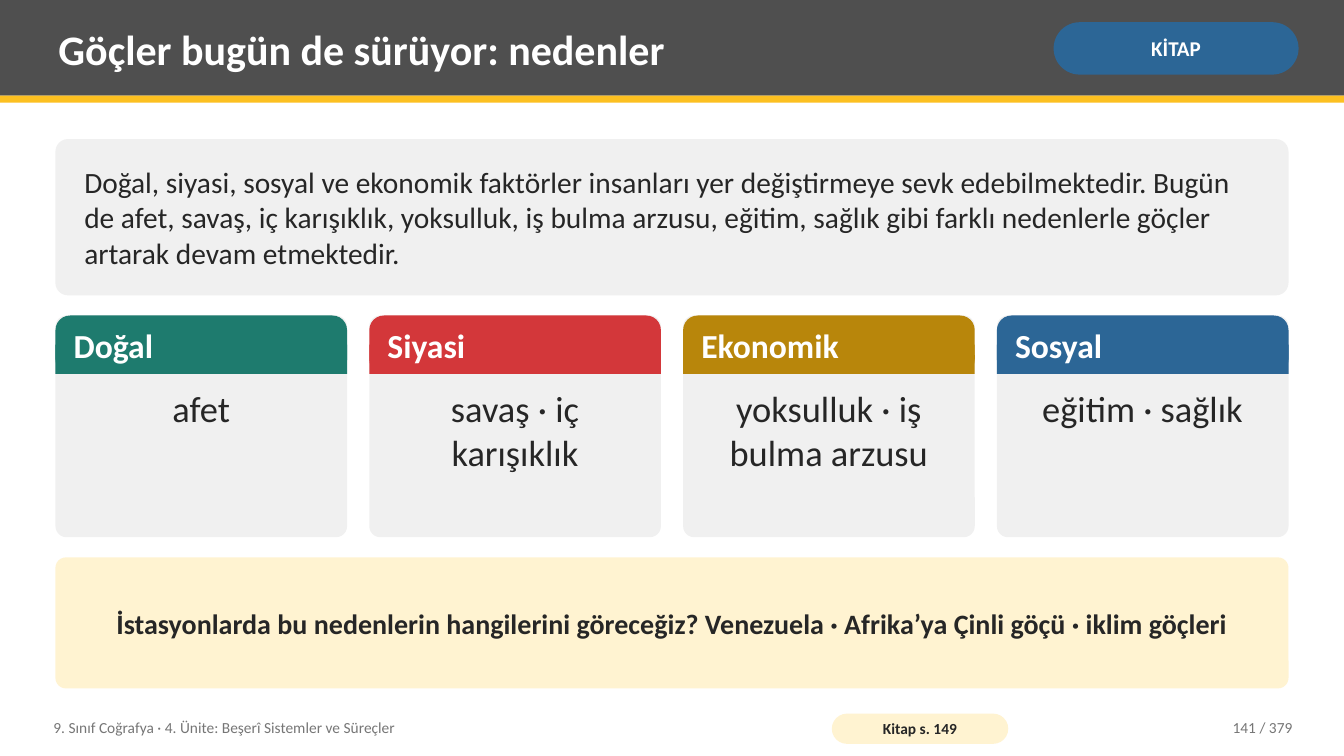
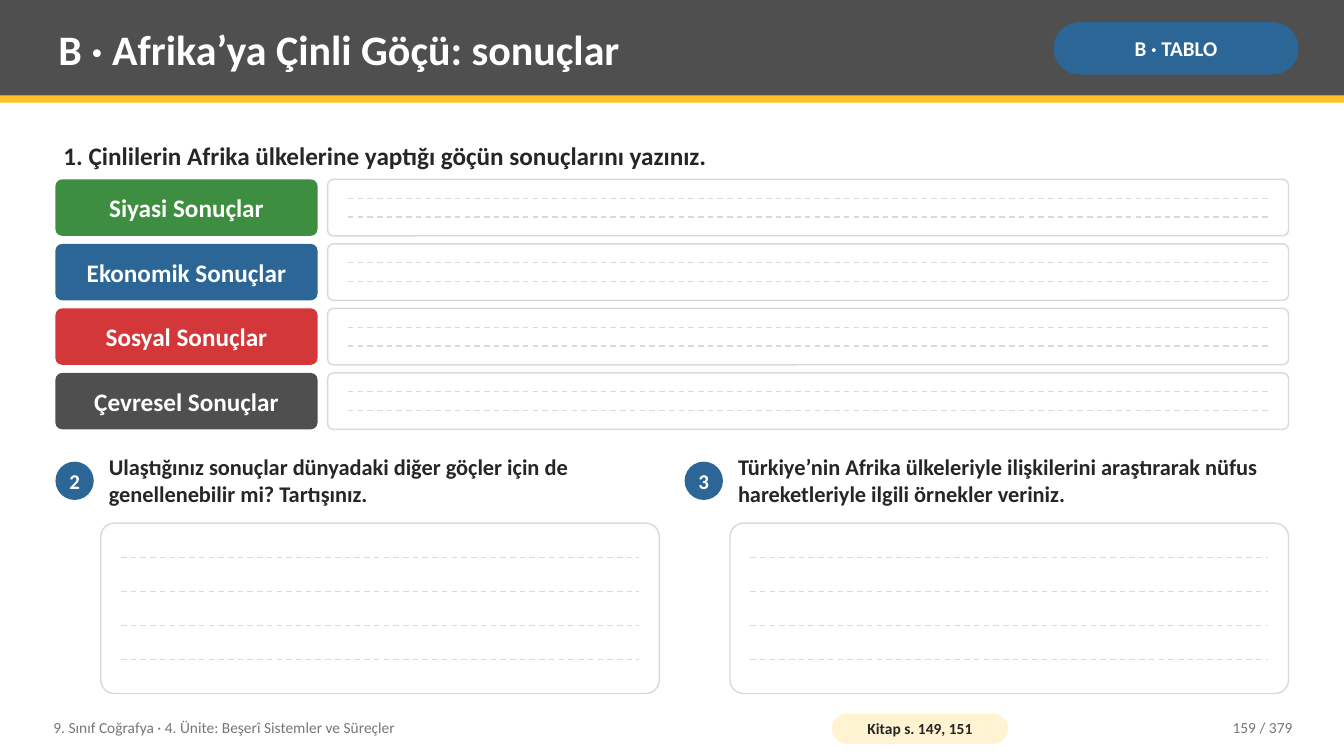
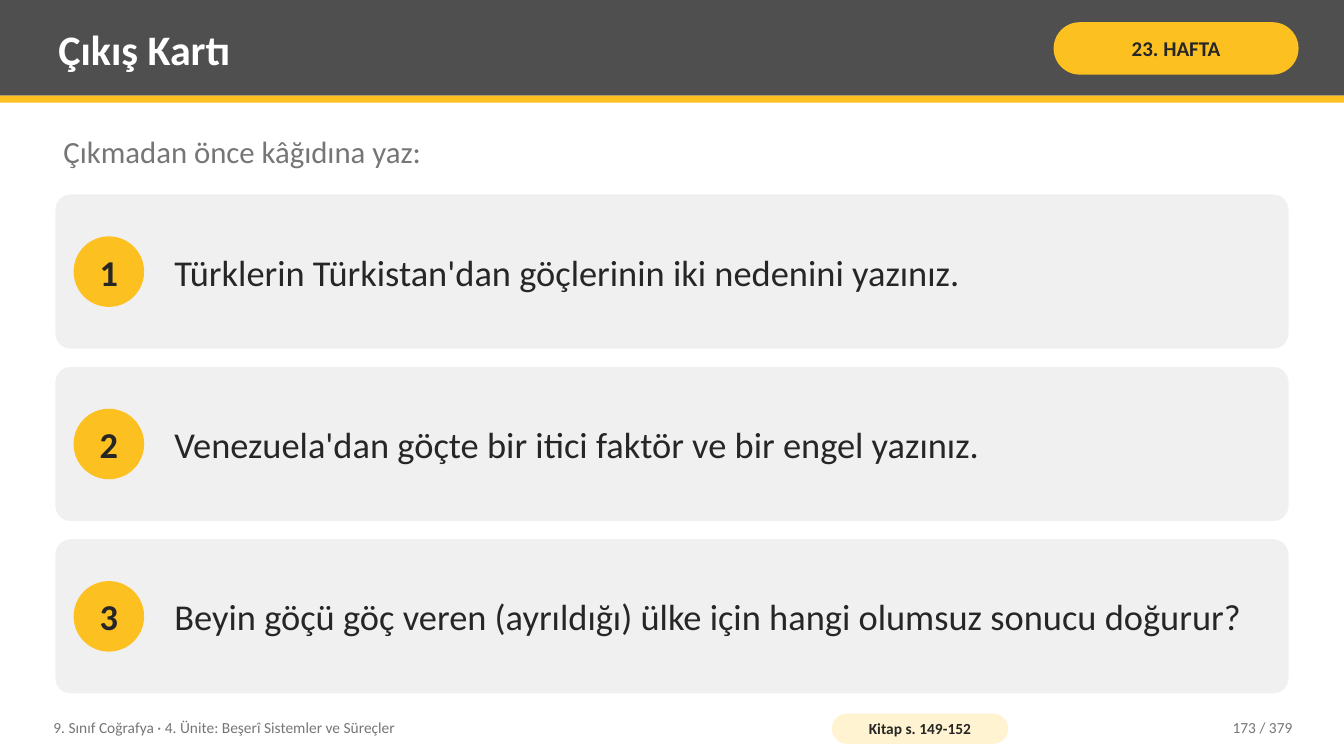
import lxml.etree
import pptx
import pptx.dml.color
import pptx.enum.dml
import pptx.enum.shapes
import pptx.enum.text
import pptx.oxml.ns
import pptx.util

SHAPE = pptx.enum.shapes.MSO_SHAPE
ALIGN = pptx.enum.text.PP_ALIGN
ANCHOR = pptx.enum.text.MSO_ANCHOR

FONT = "Calibri"
COLORS = {
    "dark": "4F4F4F", "yellow": "FCC021", "cream": "FFF3D1", "panel": "F0F0F0",
    "rule": "D9D9D9", "ink": "262626", "muted": "767676", "white": "FFFFFF",
    "blue": "2C6696", "red": "D3373A", "teal": "1E7B6E", "ochre": "B8860B",
    "green": "3E8E41",
}

# Page grid, in inches
PAGE_WIDTH, PAGE_HEIGHT = 13.33, 7.5
LEFT, WIDTH = 0.55, 12.23
BOTTOM = 6.88
UNIT = "9. Sınıf Coğrafya · 4. Ünite: Beşerî Sistemler ve Süreçler"
TOTAL_PAGES = 379


def split(start, length, count, gap):
    """Return the starts and the common size of equal cells."""
    size = (length - gap * (count - 1)) / count
    return [start + index * (size + gap) for index in range(count)], size


def inches(*lengths):
    return [pptx.util.Inches(length) for length in lengths]


def color(name):
    return pptx.dml.color.RGBColor.from_string(COLORS[name])


# Basic elements
def write(box, text, size, ink="ink", bold=False, align=ALIGN.LEFT,
          anchor=ANCHOR.MIDDLE, margins=(0.08, 0.04), wrap=True):
    frame = box.text_frame
    frame.text = text
    frame.word_wrap = wrap
    frame.auto_size = pptx.enum.text.MSO_AUTO_SIZE.NONE
    frame.vertical_anchor = anchor
    frame.margin_left = frame.margin_right = pptx.util.Inches(margins[0])
    frame.margin_top = frame.margin_bottom = pptx.util.Inches(margins[1])
    para = frame.paragraphs[0]
    para.alignment = align
    font = para.runs[0].font
    font.name, font.size, font.bold = FONT, pptx.util.Pt(size), bold
    font.color.rgb = color(ink)


def add_text(page, area, text, size, **style):
    write(page.shapes.add_textbox(*inches(*area)), text, size, **style)


def add_block(page, area, fill, kind=SHAPE.RECTANGLE, corner=None, outline=None):
    block = page.shapes.add_shape(kind, *inches(*area))
    block.shadow.inherit = False
    block.fill.solid()
    block.fill.fore_color.rgb = color(fill)
    if outline:
        block.line.color.rgb = color(outline)
        block.line.width = pptx.util.Pt(1)
    else:
        block.line.fill.background()
    if corner is not None:
        block.adjustments[0] = corner
    return block


def add_rounded(page, area, fill, corner, outline=None):
    return add_block(page, area, fill, SHAPE.ROUNDED_RECTANGLE, corner, outline)


def add_badge(page, left, top, side, number, size, fill, ink):
    badge = add_block(page, (left, top, side, side), fill, SHAPE.OVAL)
    write(badge, str(number), size, ink=ink, bold=True, align=ALIGN.CENTER,
          margins=(0, 0), wrap=False)


def add_dashed_line(page, left, right, y):
    line = page.shapes.add_connector(
        pptx.enum.shapes.MSO_CONNECTOR.STRAIGHT, *inches(left, y, right, y))
    line.line.color.rgb = color("rule")
    line.line.width = pptx.util.Pt(1)
    line.line.dash_style = pptx.enum.dml.MSO_LINE.DASH
    lxml.etree.SubElement(line._element.spPr, pptx.oxml.ns.qn("a:effectLst"))


def add_answer_box(page, area, corner, line_count):
    left, top, width, height = area
    add_rounded(page, area, "white", corner, outline="rule")
    for index in range(1, line_count + 1):
        add_dashed_line(page, left + 0.2, left + width - 0.2,
                        top + height * index / (line_count + 1))


def add_card(page, area, heading, text, fill):
    left, top, width, height = area
    head = 0.58
    add_rounded(page, area, "panel", 0.05)
    add_rounded(page, (left, top, width, head), fill, 0.25)
    add_block(page, (left, top + head / 2, width, head / 2), fill)
    add_text(page, (left + 0.1, top, width - 0.2, head), heading, 24,
             ink="white", bold=True)
    add_text(page, (left + 0.12, top + head + 0.08, width - 0.24, height - head - 0.16),
             text, 26, align=ALIGN.CENTER, anchor=ANCHOR.TOP)


# Shared frame: header, label and footer
def add_page(deck, title, label, source, number, label_fill="blue", label_ink="white"):
    page = deck.slides.add_slide(deck.slide_layouts.get_by_name("Title Only"))
    add_block(page, (0, 0, PAGE_WIDTH, 0.95), "dark")
    add_block(page, (0, 0.95, PAGE_WIDTH, 0.07), "yellow")

    heading = page.shapes.title
    heading.left, heading.top, heading.width, heading.height = inches(0.5, 0.07, 9.75, 0.82)
    write(heading, title, 30, ink="white", bold=True)
    page.shapes._spTree.append(heading._element)  # bring in front of the band

    pill = add_rounded(page, (10.45, 0.22, 2.43, 0.52), label_fill, 0.5)
    write(pill, label, 15, ink=label_ink, bold=True, align=ALIGN.CENTER,
          margins=(0.05, 0.02))

    add_text(page, (0.45, 7.04, 7.6, 0.36), UNIT, 11, ink="muted")
    tag = add_rounded(page, (8.25, 7.08, 1.75, 0.3), "cream", 0.5)
    write(tag, source, 11, bold=True, align=ALIGN.CENTER, margins=(0.04, 0))
    add_text(page, (11.3, 7.04, 1.6, 0.36), f"{number} / {TOTAL_PAGES}", 11,
             ink="muted", align=ALIGN.RIGHT)
    return page


# Slides
def build_causes(deck):
    page = add_page(deck, "Göçler bugün de sürüyor: nedenler", "KİTAP",
                    "Kitap s. 149", 141)
    intro = add_rounded(page, (LEFT, 1.38, WIDTH, 1.55), "panel", 0.08)
    write(intro, "Doğal, siyasi, sosyal ve ekonomik faktörler insanları yer değiştirmeye "
          "sevk edebilmektedir. Bugün de afet, savaş, iç karışıklık, yoksulluk, iş bulma "
          "arzusu, eğitim, sağlık gibi farklı nedenlerle göçler artarak devam etmektedir.",
          21, margins=(0.25, 0.08))

    causes = [
        ("Doğal", "afet", "teal"),
        ("Siyasi", "savaş · iç karışıklık", "red"),
        ("Ekonomik", "yoksulluk · iş bulma arzusu", "ochre"),
        ("Sosyal", "eğitim · sağlık", "blue"),
    ]
    columns, width = split(LEFT, WIDTH, len(causes), 0.22)
    for left, cause in zip(columns, causes):
        add_card(page, (left, 3.13, width, 2.2), *cause)

    question = add_rounded(page, (LEFT, 5.53, WIDTH, 1.3), "cream", 0.08)
    write(question, "İstasyonlarda bu nedenlerin hangilerini göreceğiz? "
          "Venezuela · Afrika’ya Çinli göçü · iklim göçleri",
          20, bold=True, align=ALIGN.CENTER, margins=(0.14, 0.08))


def build_results(deck):
    page = add_page(deck, "B · Afrika’ya Çinli Göçü: sonuçlar", "B · TABLO",
                    "Kitap s. 149, 151", 159)
    add_text(page, (LEFT, 1.33, WIDTH, 0.42),
             "1. Çinlilerin Afrika ülkelerine yaptığı göçün sonuçlarını yazınız.",
             18, bold=True)

    # Labelled answer rows
    results = [("Siyasi Sonuçlar", "green"), ("Ekonomik Sonuçlar", "blue"),
               ("Sosyal Sonuçlar", "red"), ("Çevresel Sonuçlar", "dark")]
    label_width, gap = 2.6, 0.1
    rows, height = split(1.78, 2.48, len(results), 0.08)
    for top, (text, fill) in zip(rows, results):
        label = add_rounded(page, (LEFT, top, label_width, height), fill, 0.12)
        write(label, text, 18, ink="white", bold=True, align=ALIGN.CENTER,
              margins=(0.1, 0.02))
        add_answer_box(page, (LEFT + label_width + gap, top,
                              WIDTH - label_width - gap, height), 0.1, 2)

    # Open questions
    questions = [
        "Ulaştığınız sonuçlar dünyadaki diğer göçler için de genellenebilir mi? Tartışınız.",
        "Türkiye’nin Afrika ülkeleriyle ilişkilerini araştırarak nüfus hareketleriyle "
        "ilgili örnekler veriniz.",
    ]
    indent, answer_top = 0.45, 5.19
    columns, width = split(LEFT, WIDTH, len(questions), 0.25)
    for number, (left, question) in enumerate(zip(columns, questions), start=2):
        add_badge(page, left, 4.58, 0.38, number, 15, "blue", "white")
        add_text(page, (left + indent, 4.42, width - indent, 0.69), question, 16, bold=True)
        add_answer_box(page, (left + indent, answer_top, width - indent,
                              BOTTOM - answer_top), 0.08, 4)


def build_exit_card(deck):
    page = add_page(deck, "Çıkış Kartı", "23. HAFTA", "Kitap s. 149-152", 173,
                    label_fill="yellow", label_ink="ink")
    add_text(page, (LEFT, 1.28, WIDTH, 0.55), "Çıkmadan önce kâğıdına yaz:", 22,
             ink="muted", anchor=ANCHOR.TOP)

    questions = [
        "Türklerin Türkistan'dan göçlerinin iki nedenini yazınız.",
        "Venezuela'dan göçte bir itici faktör ve bir engel yazınız.",
        "Beyin göçü göç veren (ayrıldığı) ülke için hangi olumsuz sonucu doğurur?",
    ]
    first_top, side = 1.93, 0.7
    rows, height = split(first_top, BOTTOM - first_top, len(questions), 0.18)
    for number, (top, question) in enumerate(zip(rows, questions), start=1):
        add_rounded(page, (LEFT, top, WIDTH, height), "panel", 0.1)
        add_badge(page, LEFT + 0.18, top + (height - side) / 2, side, number, 26,
                  "yellow", "ink")
        add_text(page, (LEFT + 1.1, top, WIDTH - 1.3, height), question, 26)


def main():
    deck = pptx.Presentation()
    deck.slide_width, deck.slide_height = inches(PAGE_WIDTH, PAGE_HEIGHT)
    build_causes(deck)
    build_results(deck)
    build_exit_card(deck)
    deck.save("out.pptx")


if __name__ == "__main__":
    main()
